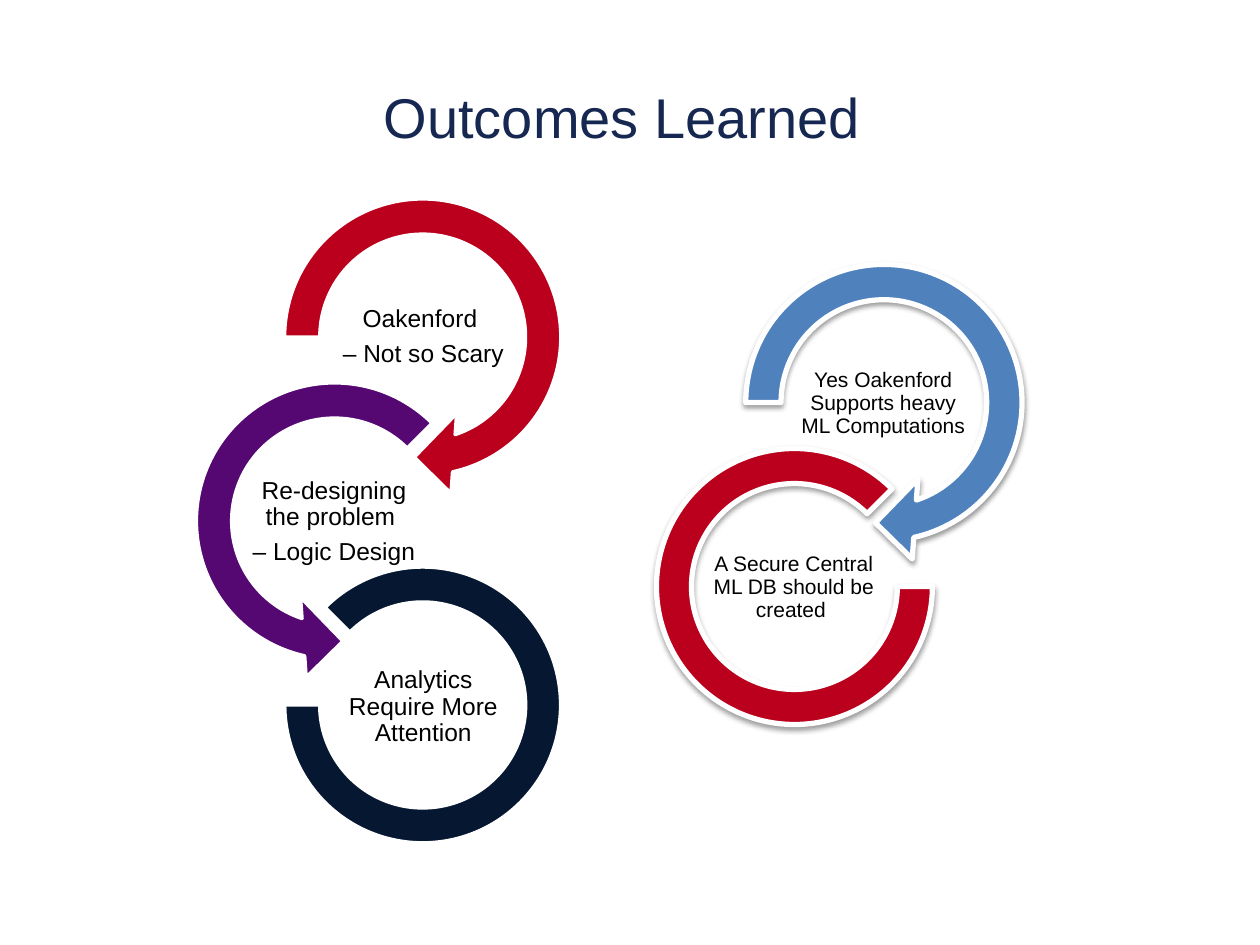
"""Build the "Outcomes Learned" slide with two chains of circular arrows."""
from dataclasses import dataclass

from lxml import etree
from pptx import Presentation
from pptx.dml.color import RGBColor
from pptx.enum.shapes import MSO_SHAPE
from pptx.enum.text import MSO_ANCHOR, PP_ALIGN
from pptx.oxml.ns import qn
from pptx.util import Inches, Pt

RIGHT_ARROW = MSO_SHAPE.CIRCULAR_ARROW
LEFT_ARROW = MSO_SHAPE.LEFT_CIRCULAR_ARROW
ARC = MSO_SHAPE.BLOCK_ARC
CENTER = PP_ALIGN.CENTER
MIDDLE = MSO_ANCHOR.MIDDLE

FONT = "Arial"
COLORS = {
    "title": "162852",
    "text": "000000",
    "outline": "FFFFFF",
    "shadow": "000000",
    "red": "BA001C",
    "purple": "550772",
    "navy": "061731",
    "blue": "4F81BD",
}
SIZES = {RIGHT_ARROW: 2.55, LEFT_ARROW: 2.55, ARC: 2.19}
RIGHT_TURN = (0.11, 11.423, 45, 108, 0.125)
LEFT_TURN = (0.11, 11.423, 63, 189, 0.125)
LABEL_WIDTH, LABEL_HEIGHT = 1.42, 0.71


@dataclass(frozen=True)
class Ring:
    """One ring of a chain, with the place of its label."""
    kind: MSO_SHAPE
    left: float
    top: float
    adjustments: tuple[float, ...]
    color: str
    label_left: float
    label_top: float
    lines: tuple[str, ...]


@dataclass(frozen=True)
class Chain:
    """Rings that share an outline, a text size and a shadow setting."""
    rings: tuple[Ring, ...]
    outline: float
    text_size: float
    shadow: bool


CHAINS = (
    Chain((
        Ring(RIGHT_ARROW, 2.08, 1.4, RIGHT_TURN, "red", 2.65, 2.32,
             ("Oakenford ", "– Not so Scary")),
        Ring(LEFT_ARROW, 1.38, 2.86, LEFT_TURN, "purple", 1.94, 3.79,
             ("Re-designing the problem ", "– Logic Design")),
        Ring(ARC, 2.26, 4.5, (135, 108, 0.127), "navy", 2.65, 5.26,
             ("Analytics Require More Attention",)),
    ), outline=2, text_size=14, shadow=False),
    Chain((
        Ring(RIGHT_ARROW, 5.74, 1.92, RIGHT_TURN, "blue", 6.3, 2.85,
             ("Yes Oakenford Supports heavy ML Computations",)),
        Ring(ARC, 5.21, 3.56, (0, 189, 0.127), "red", 5.59, 4.31,
             ("A Secure Central ML DB should be created ",)),
    ), outline=3, text_size=12, shadow=True),
)


def rgb(name: str) -> RGBColor:
    """Return a named colour."""
    return RGBColor.from_string(COLORS[name])


def write(para, text: str, *, size: float, color: str) -> None:
    """Put centred, formatted text into a paragraph."""
    para.alignment = CENTER
    span = para.add_run()
    span.text = text
    span.font.name = FONT
    span.font.size = Pt(size)
    span.font.color.rgb = rgb(color)


def add_shadow(shape) -> None:
    """Give a shape a soft shadow that falls straight down."""
    effects = shape._element.spPr.find(qn("a:effectLst"))
    shadow = etree.SubElement(
        effects, qn("a:outerShdw"), blurRad=str(Pt(3.1)), dist=str(Pt(1.6)),
        dir="5400000", rotWithShape="0")
    color = etree.SubElement(shadow, qn("a:srgbClr"), val=COLORS["shadow"])
    etree.SubElement(color, qn("a:alpha"), val="38000")


def add_ring(page, ring: Ring, chain: Chain) -> None:
    """Draw the curved shape of a ring."""
    size = Inches(SIZES[ring.kind])
    shape = page.shapes.add_shape(
        ring.kind, Inches(ring.left), Inches(ring.top), size, size)
    for index, value in enumerate(ring.adjustments):
        shape.adjustments[index] = value
    shape.fill.solid()
    shape.fill.fore_color.rgb = rgb(ring.color)
    shape.line.color.rgb = rgb("outline")
    shape.line.width = Pt(chain.outline)
    shape.shadow.inherit = False
    if chain.shadow:
        add_shadow(shape)


def add_label(page, ring: Ring, size: float) -> None:
    """Write the label inside a ring."""
    box = page.shapes.add_textbox(
        Inches(ring.label_left), Inches(ring.label_top),
        Inches(LABEL_WIDTH), Inches(LABEL_HEIGHT))
    frame = box.text_frame
    frame.word_wrap = True
    frame.vertical_anchor = MIDDLE
    frame.margin_left = frame.margin_right = Inches(0.01)
    frame.margin_top = frame.margin_bottom = Inches(0.01)
    for index, line in enumerate(ring.lines):
        para = frame.add_paragraph() if index else frame.paragraphs[0]
        para.line_spacing = 0.9
        para.space_after = Pt(size * 0.35)
        write(para, line, size=size, color="text")


def add_title(page, text: str) -> None:
    """Fill and place the title placeholder."""
    title = page.shapes.title
    title.left, title.top = Inches(0.5), Inches(0.3)
    title.width, title.height = Inches(9), Inches(1.25)
    title.text_frame.vertical_anchor = MIDDLE
    write(title.text_frame.paragraphs[0], text, size=32, color="title")


def main() -> None:
    """Build and save the deck."""
    deck = Presentation()
    deck.slide_width, deck.slide_height = Inches(10), Inches(7.5)
    page = deck.slides.add_slide(deck.slide_layouts.get_by_name("Title Only"))
    add_title(page, "Outcomes Learned ")
    for chain in CHAINS:
        for ring in chain.rings:
            add_ring(page, ring, chain)
            add_label(page, ring, chain.text_size)
    deck.save("out.pptx")


if __name__ == "__main__":
    main()
